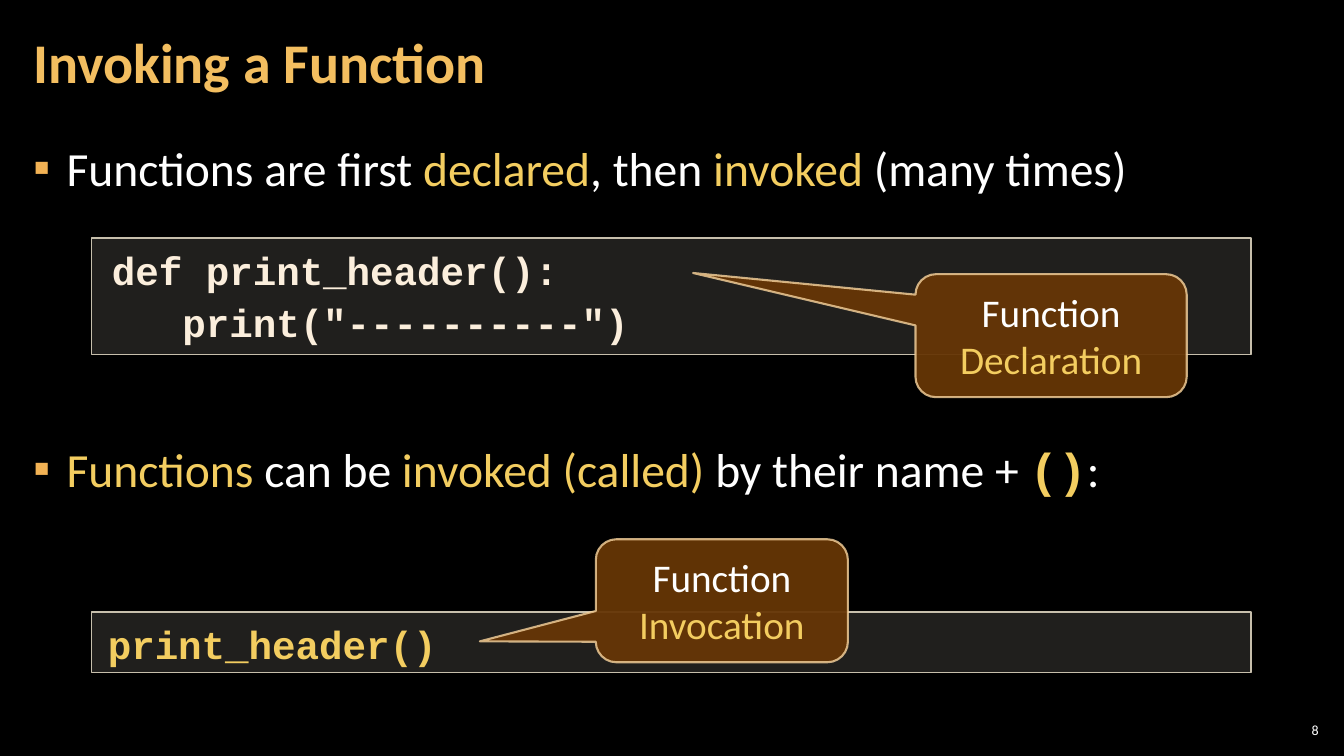
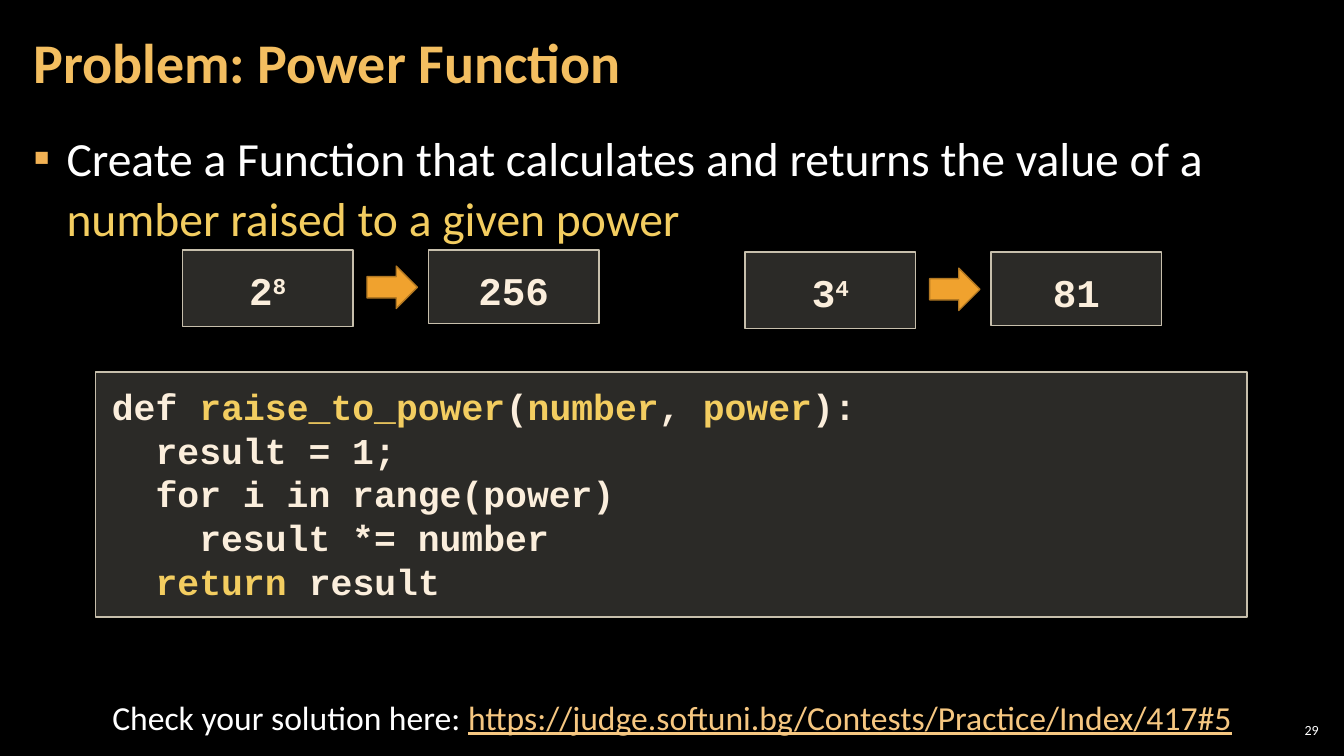
from pptx import Presentation
from pptx.dml.color import RGBColor
from pptx.enum.shapes import MSO_SHAPE
from pptx.enum.text import MSO_ANCHOR, MSO_AUTO_SIZE, PP_ALIGN
from pptx.oxml import parse_xml
from pptx.oxml.ns import nsdecls, qn
from pptx.util import Inches, Pt

RECTANGLE = MSO_SHAPE.RECTANGLE
CALLOUT = MSO_SHAPE.ROUNDED_RECTANGULAR_CALLOUT
RIGHT_ARROW = MSO_SHAPE.RIGHT_ARROW
TOP, MIDDLE = MSO_ANCHOR.TOP, MSO_ANCHOR.MIDDLE
LEFT, CENTER, RIGHT = PP_ALIGN.LEFT, PP_ALIGN.CENTER, PP_ALIGN.RIGHT

COLORS = {
    "background": "000000",
    "text": "FFFFFF",
    "title": "F3BE60",
    "bullet": "F2B254",
    "highlight": "F3CD60",
    "code": "FBEEDC",
    "panel": "D9D5C7",
    "panel_line": "C7BFAC",
    "callout": "663606",
    "callout_line": "F8D49E",
    "arrow": "F0A22E",
    "arrow_line": "B27822",
    "link": "F6C781",
}
TEXT_FONT, CODE_FONT = "Calibri", "Courier New"
BODY_INSETS = (0.12, 0.04)
BODY_LEFT, BODY_WIDTH = 0.21, 12.91
TILE_WIDTH, TILE_STEP, ARROW_OFFSET = 1.69, 2.44, (1.83, 0.16)


def color(name):
    return RGBColor.from_string(COLORS[name])


def place(shape, left, top, width, height):
    shape.left, shape.top = Inches(left), Inches(top)
    shape.width, shape.height = Inches(width), Inches(height)


def set_frame(shape, insets=(0.1, 0.05), anchor=TOP):
    """Prepare a wrapping text frame; insets are (horizontal, vertical) inches."""
    frame = shape.text_frame
    frame.word_wrap = True
    frame.auto_size = MSO_AUTO_SIZE.NONE
    frame.vertical_anchor = anchor
    frame.margin_left = frame.margin_right = Inches(insets[0])
    frame.margin_top = frame.margin_bottom = Inches(insets[1])
    return frame


def add_paragraph(frame, segments, size, font=TEXT_FONT, bold=False, align=LEFT, spacing=1.0):
    """Write (text, colour) segments into the first empty or a new paragraph."""
    first = frame.paragraphs[0]
    paragraph = frame.add_paragraph() if first.runs else first
    paragraph.alignment = align
    paragraph.line_spacing = spacing
    paragraph.font.name, paragraph.font.size, paragraph.font.bold = font, Pt(size), bold
    for text, color_name in segments:
        run = paragraph.add_run()
        run.text = text
        run.font.color.rgb = color(color_name)
    return paragraph


def set_opacity(shape, tag, percent):
    """Apply opacity to the fill (a:solidFill) or the line (a:ln) of a shape."""
    solid = shape.element.spPr.find(qn(tag))
    for value in solid.iter(qn("a:srgbClr")):
        value.append(parse_xml(f'<a:alpha {nsdecls("a")} val="{percent * 1000}"/>'))


def add_filled_shape(slide, kind, box, fill, line, line_width=1):
    shape = slide.shapes.add_shape(kind, *(Inches(length) for length in box))
    shape.shadow.inherit = False
    shape.fill.solid()
    shape.fill.fore_color.rgb = color(fill)
    shape.line.color.rgb = color(line)
    shape.line.width = Pt(line_width)
    return shape


def add_panel(slide, box, lines, size=28, insets=(0.16, 0.12), opacity=20, align=LEFT, spacing=1.1):
    """Add a translucent panel with lines of code."""
    panel = add_filled_shape(slide, RECTANGLE, box, "panel", "panel_line")
    set_opacity(panel, "a:solidFill", opacity)
    frame = set_frame(panel, insets)
    return [add_paragraph(frame, line, size, CODE_FONT, True, align, spacing) for line in lines]


def add_callout(slide, box, tip, term):
    callout = add_filled_shape(slide, CALLOUT, box, "callout", "callout_line", 1.5)
    set_opacity(callout, "a:solidFill", 95)
    set_opacity(callout, "a:ln", 80)
    callout.adjustments[0], callout.adjustments[1] = tip
    frame = set_frame(callout, anchor=MIDDLE)
    add_paragraph(frame, [("Function ", "text"), (term, "highlight")], 28, align=CENTER)


def add_example(slide, left, top, base, exponent, result):
    """Show base and exponent, an arrow and the result."""
    arrow_left, arrow_top = left + ARROW_OFFSET[0], top + ARROW_OFFSET[1]
    add_filled_shape(slide, RIGHT_ARROW, (arrow_left, arrow_top, 0.5, 0.42), "arrow", "arrow_line")
    tiles = [((base, exponent), 0.76), ((result,), 0.73)]
    for column, (texts, height) in enumerate(tiles):
        box = (left + column * TILE_STEP, top, TILE_WIDTH, height)
        line = [(text, "code") for text in texts]
        paragraph = add_panel(slide, box, [line], insets=(0.2, 0.12), align=CENTER)[0]
        for run in paragraph.runs[1:]:
            run.font.element.set("baseline", "30000") if hasattr(run.font, "element") else \
                run._r.get_or_add_rPr().set("baseline", "30000")


def add_bullet(frame, segments, before=0, spacing=1.0):
    first = frame.paragraphs[0]
    paragraph = frame.add_paragraph() if first.runs else first
    properties = paragraph._p.get_or_add_pPr()
    properties.set("marL", str(Inches(0.33)))
    properties.set("indent", str(-Inches(0.33)))
    for xml in (
        f'<a:buClr {nsdecls("a")}><a:srgbClr val="{COLORS["bullet"]}"/></a:buClr>',
        f'<a:buFont {nsdecls("a")} typeface="{TEXT_FONT}"/>',
        f'<a:buChar {nsdecls("a")} char="▪"/>',
    ):
        properties.append(parse_xml(xml))
    paragraph.space_before, paragraph.space_after = Pt(before), Pt(6)
    paragraph.line_spacing = spacing
    paragraph.font.name, paragraph.font.size = TEXT_FONT, Pt(34)
    for text, color_name in segments:
        run = paragraph.add_run()
        run.text = text
        run.font.color.rgb = color(color_name)
    return paragraph


def add_slide(presentation, title, number, body_top):
    """Add a slide with title and number; return it with its body frame."""
    slide = presentation.slides.add_slide(presentation.slide_layouts[1])
    place(slide.shapes.title, BODY_LEFT, 0.04, 10.47, 1.21)
    frame = set_frame(slide.shapes.title, BODY_INSETS, MIDDLE)
    add_paragraph(frame, [(title, "title")], 40, bold=True, spacing=0.9)

    body = slide.placeholders[1]
    place(body, BODY_LEFT, body_top, BODY_WIDTH, 6.09)

    number_box = slide.shapes.add_textbox(Inches(12.65), Inches(7.14), Inches(0.47), Inches(0.21))
    frame = set_frame(number_box, (0.04, 0.04), MIDDLE)
    add_paragraph(frame, [(str(number), "text")], 10, align=RIGHT)
    return slide, set_frame(body, BODY_INSETS)


def build_invoking(presentation):
    slide, body = add_slide(presentation, "Invoking a Function", 8, 1.34)
    add_bullet(body, [
        ("Functions are first ", "text"), ("declared", "highlight"), (", then ", "text"),
        ("invoked", "highlight"), (" (many times)", "text"),
    ])
    call_bullet = add_bullet(body, [
        ("Functions ", "highlight"), ("can be ", "text"), ("invoked (called) ", "highlight"),
        ("by their name + ", "text"), ("()", "highlight"), (":", "text"),
    ], before=168)
    parentheses = call_bullet.runs[4].font
    parentheses.name, parentheses.bold = CODE_FONT, True

    declaration = [[("def print_header():", "code")], [('   print("----------")', "code")]]
    add_panel(slide, (0.91, 2.36, 11.5, 1.16), declaration, insets=(0.2, 0.04), opacity=15)
    invocation = [[("print_header()", "highlight")]]
    add_panel(slide, (0.91, 6.07, 11.5, 0.6), invocation, insets=(0.16, 0.04), opacity=15)
    add_callout(slide, (9.08, 2.72, 2.69, 1.22), (-1.32, -0.51), "Declaration")
    add_callout(slide, (5.91, 5.35, 2.5, 1.22), (-0.96, 0.33), "Invocation")


def build_power(presentation):
    slide, body = add_slide(presentation, "Problem: Power Function", 29, 1.21)
    add_bullet(body, [
        ("Create a Function that calculates and returns the value of a ", "text"),
        ("number raised to a given power", "highlight"),
    ], spacing=1.05)
    add_example(slide, 1.81, 2.48, "2", "8", "256")
    add_example(slide, 7.39, 2.5, "3", "4", "81")
    add_panel(slide, (0.95, 3.69, 11.42, 2.43), [
        [("def ", "code"), ("raise_to_power", "highlight"), ("(", "code"),
         ("number", "highlight"), (", ", "code"), ("power", "highlight"), ("):", "code")],
        [("  result = 1;", "code")],
        [("  for i in range(power)", "code")],
        [("    result *= number", "code")],
        [("  return ", "highlight"), ("result", "code")],
    ], size=26, spacing=1.0)

    check_box = slide.shapes.add_textbox(Inches(0.68), Inches(6.86), Inches(11.97), Inches(0.5))
    check = add_paragraph(set_frame(check_box), [
        ("Check your solution here: ", "text"),
        ("https://judge.softuni.bg/Contests/Practice/Index/417#5", "link"),
    ], 24, align=CENTER)
    check.runs[1].font.underline = True


def main():
    presentation = Presentation()
    presentation.slide_width, presentation.slide_height = Inches(13.33), Inches(7.5)
    background = presentation.slide_master.background.fill
    background.solid()
    background.fore_color.rgb = color("background")
    build_invoking(presentation)
    build_power(presentation)
    presentation.save("out.pptx")


if __name__ == "__main__":
    main()
